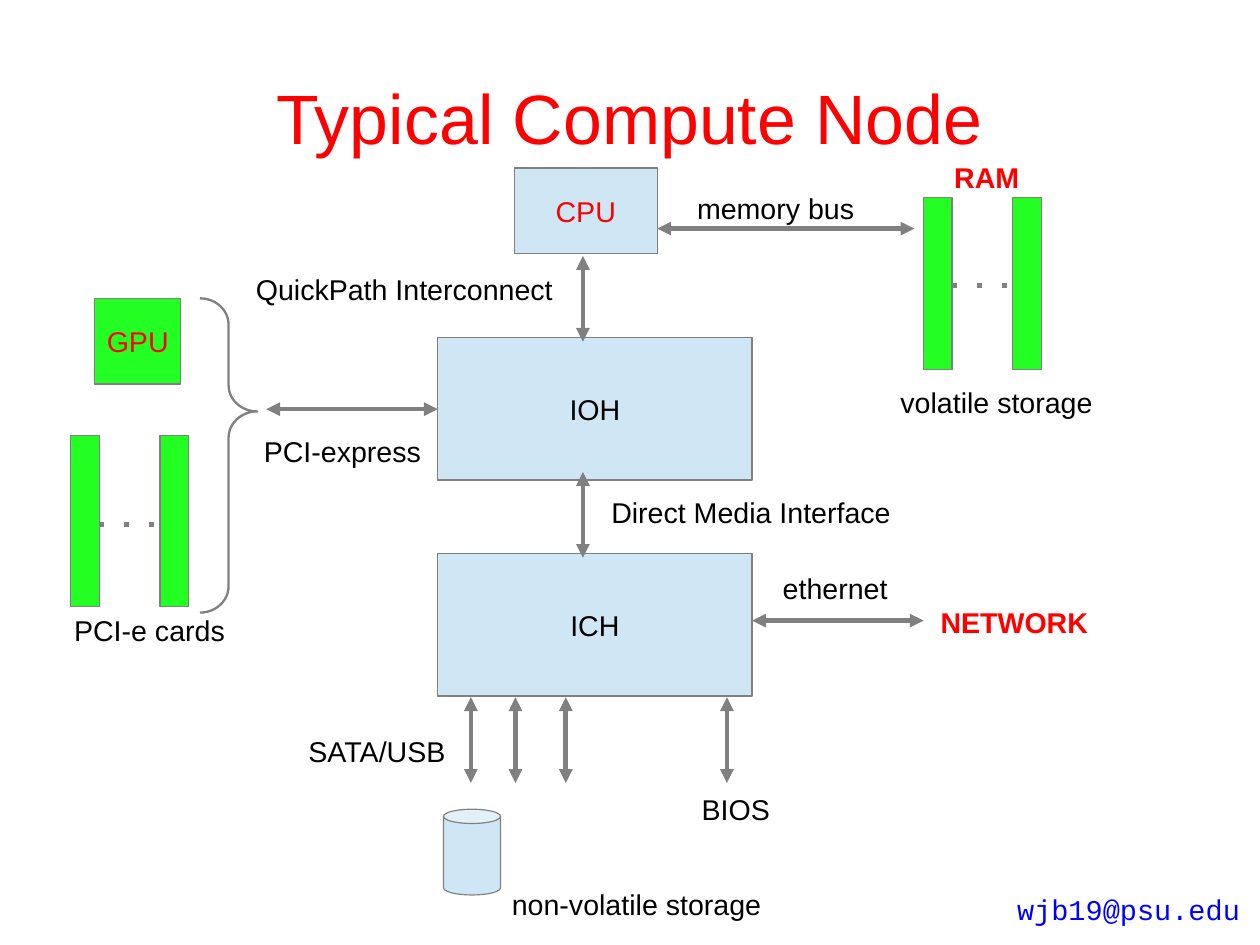
from lxml.etree import SubElement
from pptx import Presentation
from pptx.dml.color import RGBColor
from pptx.enum.shapes import MSO_CONNECTOR, MSO_SHAPE
from pptx.enum.text import MSO_ANCHOR, MSO_AUTO_SIZE, PP_ALIGN
from pptx.oxml.ns import qn
from pptx.util import Inches, Pt

RED = RGBColor(0xFF, 0, 0)
BLACK = RGBColor(0, 0, 0)
BLUE = RGBColor(0, 0, 0xFF)
GRAY = RGBColor(0x80, 0x80, 0x80)
PALE_BLUE = RGBColor(0xCF, 0xE7, 0xF5)
GREEN = RGBColor(0x23, 0xFF, 0x23)

CM_PER_INCH = 2.54
SLIDE_W, SLIDE_H = 28 / CM_PER_INCH, 21 / CM_PER_INCH
TITLE = "Typical Compute Node"
BLOCKS = [
    ("CPU", 4.5, 1.47, 1.25, 0.75, PALE_BLUE, RED),
    ("IOH", 3.83, 2.95, 2.75, 1.25, PALE_BLUE, BLACK),
    ("ICH", 3.83, 4.84, 2.75, 1.25, PALE_BLUE, BLACK),
    ("GPU", 0.83, 2.61, 0.75, 0.75, GREEN, RED),
]
CARD_PAIRS = [(8.08, 1.73, 2.5), (0.62, 3.81, 4.59)]
CARD_W, CARD_H, CARD_STEP, DOTS_W = 0.25, 1.5, 0.78, 0.5
ACROSS = [(5.75, 2, 2.25), (2.33, 3.58, 1.5), (6.58, 5.43, 1.5)]
DOWN = [(5.1, 2.24), (5.1, 4.13)] + [(x, 6.1) for x in (4.12, 4.51, 4.95, 6.36)]
DOWN_LENGTH = 0.75
LABEL_H, LABEL_SLACK = 0.38, 0.02
LABELS = [
    ("QuickPath Interconnect", 2.14, 2.33, 2.8),
    ("memory bus", 6, 1.62, 1.57),
    ("PCI-express", 2.21, 3.75, 1.57),
    ("PCI-e cards", 0.55, 5.31, 1.52),
    ("SATA/USB", 2.6, 6.37, 1.4),
    ("Direct Media Interface", 5.25, 4.28, 2.64),
    ("non-volatile storage", 4.38, 7.71, 2.38),
    ("BIOS", 6.04, 6.88, 0.8),
    ("ethernet", 6.75, 4.95, 1.11),
    ("volatile storage", 7.78, 3.32, 1.88),
]
BOLD_LABELS = [("RAM", 8.25, 1.35, 0.77), ("NETWORK", 8.13, 5.24, 1.49)]
EMAIL = ("wjb19@psu.edu", 8.8, 7.75, 2.15)

prs = Presentation()
prs.slide_width, prs.slide_height = Inches(SLIDE_W), Inches(SLIDE_H)
s = prs.slides.add_slide(prs.slide_layouts[6])


def write(tf, text, color, size=18, font="Arial", bold=False, align=PP_ALIGN.LEFT):
    p = tf.paragraphs[0]
    p.alignment = align
    r = p.add_run()
    r.text = text
    r.font.name, r.font.size, r.font.bold = font, Pt(size), bold
    r.font.color.rgb = color


def add_box(kind, x, y, w, h, fill=None, line_width=0):
    sp = s.shapes.add_shape(kind, Inches(x), Inches(y), Inches(w), Inches(h))
    sp.shadow.inherit = False
    if fill is None:
        sp.fill.background()
    else:
        sp.fill.solid()
        sp.fill.fore_color.rgb = fill
    sp.line.color.rgb = GRAY
    sp.line.width = Pt(line_width)
    return sp


def add_line(x1, y1, x2, y2, dotted=False):
    c = s.shapes.add_connector(
        MSO_CONNECTOR.STRAIGHT, Inches(x1), Inches(y1), Inches(x2), Inches(y2))
    c.line.color.rgb = GRAY
    c.line.width = Pt(2.89)
    ln = c.line._get_or_add_ln()
    if dotted:
        SubElement(SubElement(ln, qn("a:custDash")), qn("a:ds"), d="100000", sp="445000")
    else:
        for end in ("a:headEnd", "a:tailEnd"):
            SubElement(ln, qn(end), type="triangle")
    SubElement(c._element.spPr, qn("a:effectLst"))


def add_label(text, x, y, w, color=BLACK, **style):
    tf = s.shapes.add_textbox(
        Inches(x), Inches(y), Inches(w + LABEL_SLACK), Inches(LABEL_H)).text_frame
    tf.word_wrap = False
    tf.auto_size = MSO_AUTO_SIZE.SHAPE_TO_FIT_TEXT
    write(tf, text, color, **style)


tf = s.shapes.add_textbox(Inches(0.55), Inches(0.33), Inches(9.92), Inches(1.38)).text_frame
tf.word_wrap = True
tf.vertical_anchor = MSO_ANCHOR.MIDDLE
tf.margin_left = tf.margin_right = tf.margin_top = tf.margin_bottom = 0
write(tf, TITLE, RED, size=44, align=PP_ALIGN.CENTER)

for name, x, y, w, h, fill, color in BLOCKS:
    tf = add_box(MSO_SHAPE.RECTANGLE, x, y, w, h, fill).text_frame
    tf.vertical_anchor = MSO_ANCHOR.MIDDLE
    write(tf, name, color, align=PP_ALIGN.CENTER)

for x, y, dots_y in CARD_PAIRS:
    for i in range(2):
        add_box(MSO_SHAPE.RECTANGLE, x + i * CARD_STEP, y, CARD_W, CARD_H, GREEN)
    add_line(x + CARD_W, dots_y, x + CARD_W + DOTS_W, dots_y, dotted=True)

brace = add_box(MSO_SHAPE.RIGHT_BRACE, 1.75, 2.61, 0.5, 2.75, line_width=1.45)
brace.adjustments[0], brace.adjustments[1] = 0.46, 0.36
disk = add_box(MSO_SHAPE.CAN, 3.88, 7.08, 0.5, 0.75, PALE_BLUE)
disk.adjustments[0] = 0.25

for x, y, length in ACROSS:
    add_line(x, y, x + length, y)
for x, y in DOWN:
    add_line(x, y, x, y + DOWN_LENGTH)

for label in LABELS:
    add_label(*label)
for label in BOLD_LABELS:
    add_label(*label, color=RED, bold=True)
add_label(*EMAIL, color=BLUE, font="Courier New")

prs.save("out.pptx")
